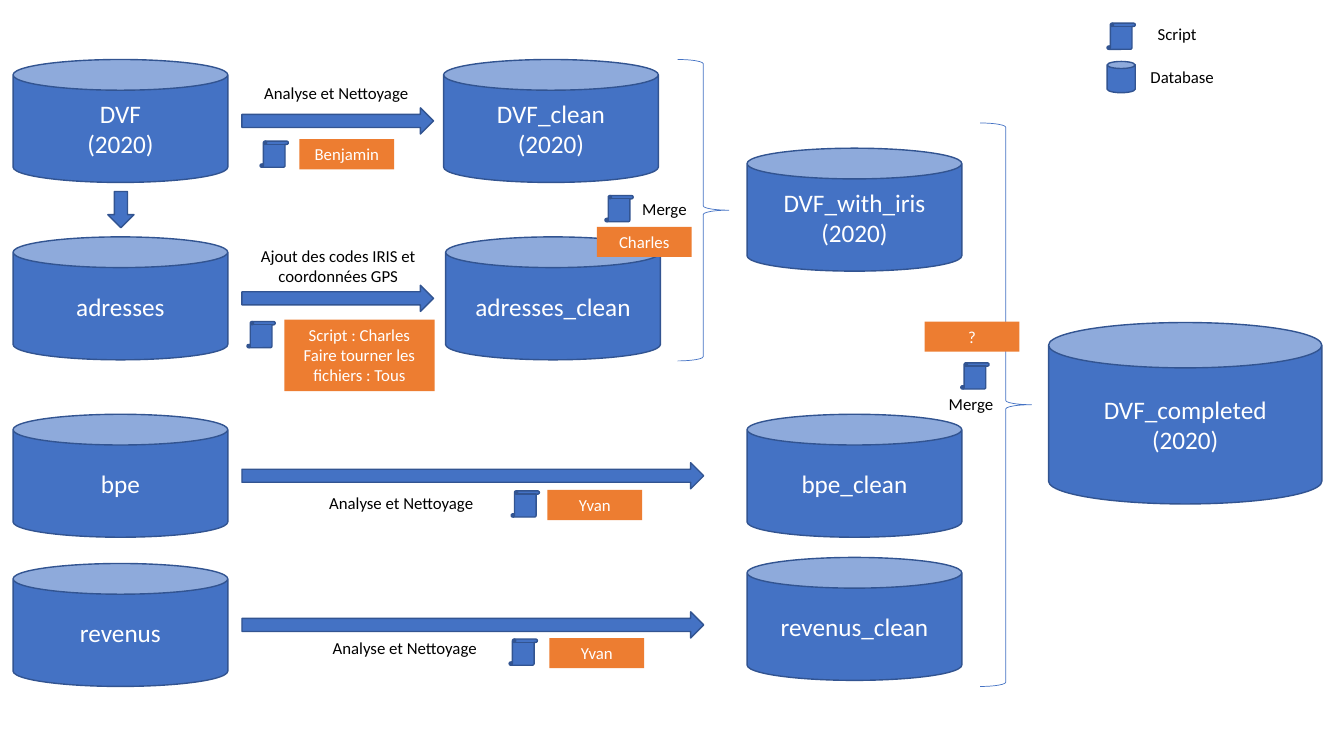
from pptx import Presentation
from pptx import util as u
from pptx.dml.color import RGBColor
from pptx.enum import shapes, text

BLUE = RGBColor(0x44, 0x72, 0xC4)
NAVY = RGBColor(0x32, 0x54, 0x91)
ORANGE = RGBColor(0xED, 0x7D, 0x31)
WHITE = RGBColor(0xFF, 0xFF, 0xFF)
BLACK = RGBColor(0x00, 0x00, 0x00)
FONT = "Calibri"
SHAPE = shapes.MSO_SHAPE

CAN_W, CAN_H = 2.13, 1.22
ARROW_THICKNESS = 0.26
SOURCE_X, CLEAN_X, RESULT_X = 0.13, 4.4, 7.41
DVF_Y, ADDRESS_Y, BPE_Y, INCOME_Y = 0.59, 2.35, 4.11, 5.59


class Diagram:
    """Holds the current slide and draws its elements in one style."""

    def __init__(self, slide):
        """Keep the slide to draw on."""
        self.slide = slide

    def _write(self, frame, content, size, color):
        """Fill a text frame with centred paragraphs, one per line."""
        frame.word_wrap = True
        frame.text = content
        for paragraph in frame.paragraphs:
            paragraph.alignment = text.PP_ALIGN.CENTER
            paragraph.font.name = FONT
            paragraph.font.size = u.Pt(size)
            paragraph.font.color.rgb = color

    def _shape(self, kind, x, y, w, h, fill=BLUE, line=NAVY, weight=1):
        """Add a preset shape; None leaves the fill or the line out."""
        shape = self.slide.shapes.add_shape(kind, *map(u.Inches, (x, y, w, h)))
        shape.shadow.inherit = False
        if fill is None:
            shape.fill.background()
        else:
            shape.fill.solid()
            shape.fill.fore_color.rgb = fill
        if line is None:
            shape.line.fill.background()
        else:
            shape.line.color.rgb = line
            shape.line.width = u.Pt(weight)
        return shape

    def database(self, x, y, name="", w=CAN_W, h=CAN_H):
        """Add a database cylinder with its name."""
        can = self._shape(SHAPE.CAN, x, y, w, h)
        if name:
            can.text_frame.vertical_anchor = text.MSO_ANCHOR.MIDDLE
            self._write(can.text_frame, name, 18, WHITE)

    def flow_right(self, row_y, length):
        """Add an arrow to the right, centred on a row of databases."""
        y = row_y + (CAN_H - ARROW_THICKNESS) / 2
        self._shape(SHAPE.RIGHT_ARROW, 2.4, y, length, ARROW_THICKNESS)

    def flow_down(self, x, y, length):
        """Add an arrow pointing down."""
        self._shape(SHAPE.DOWN_ARROW, x, y, ARROW_THICKNESS, length)

    def brace(self, x, y, h):
        """Add a brace that joins the databases to its left."""
        self._shape(SHAPE.RIGHT_BRACE, x, y, 0.51, h, None, BLUE, 0.5)

    def script(self, x, y):
        """Add a small scroll that stands for a script."""
        self._shape(SHAPE.VERTICAL_SCROLL, x, y, 0.28, 0.26)

    def owner(self, x, y, who, w=0.94, h=0.3):
        """Add an orange tag naming who is in charge."""
        tag = self._shape(SHAPE.RECTANGLE, x, y, w, h, ORANGE, None)
        tag.text_frame.vertical_anchor = text.MSO_ANCHOR.TOP
        self._write(tag.text_frame, who, 12, WHITE)

    def caption(self, x, y, w, words, h=0.3):
        """Add a black caption."""
        box = self.slide.shapes.add_textbox(*map(u.Inches, (x, y, w, h)))
        self._write(box.text_frame, words, 12, BLACK)


def main():
    """Build the data pipeline slide."""
    deck = Presentation()
    deck.slide_width, deck.slide_height = u.Inches(13.33), u.Inches(7.5)
    diagram = Diagram(deck.slides.add_slide(deck.slide_layouts[6]))

    for x, y, name in [
        (SOURCE_X, DVF_Y, "DVF\n(2020)"),
        (SOURCE_X, ADDRESS_Y, "adresses"),
        (SOURCE_X, BPE_Y, "bpe"),
        (SOURCE_X, INCOME_Y, "revenus"),
        (CLEAN_X, DVF_Y, "DVF_clean\n(2020)"),
        (CLEAN_X + 0.02, ADDRESS_Y, "adresses_clean"),
        (RESULT_X, 1.47, "DVF_with_iris\n(2020)"),
        (RESULT_X, BPE_Y, "bpe_clean"),
        (RESULT_X, 5.53, "revenus_clean"),
    ]:
        diagram.database(x, y, name)
    diagram.database(10.4, 3.2, "DVF_completed\n(2020)", 2.71, 1.8)

    diagram.flow_down(1.07, 1.9, 0.36)
    for row_y, length in [(DVF_Y, 1.9), (ADDRESS_Y, 1.9),
                          (BPE_Y, 4.58), (INCOME_Y, 4.58)]:
        diagram.flow_right(row_y, length)

    diagram.brace(6.72, DVF_Y, 2.99)
    diagram.brace(9.72, 1.22, 5.59)

    for x, y, w, words in [
        (2.48, 0.77, 1.71, "Analyse et Nettoyage"),
        (3.1, 4.84, 1.76, "Analyse et Nettoyage"),
        (2.98, 6.28, 2.07, "Analyse et Nettoyage"),
        (6.13, 1.92, 0.92, "Merge"),
        (9.17, 3.86, 0.92, "Merge"),
        (10.98, 0.19, 1.39, "Script"),
        (11.03, 0.61, 1.39, "Database"),
    ]:
        diagram.caption(x, y, w, words)
    diagram.caption(2.48, 2.39, 1.75,
                    "Ajout des codes IRIS et coordonnées GPS", 0.5)

    for x, y in [(2.58, 1.4), (2.45, 3.19), (5.07, 4.87), (5.05, 6.34),
                 (9.53, 3.6), (6, 1.94), (10.98, 0.23)]:
        diagram.script(x, y)
    diagram.database(10.98, 0.61, w=0.28, h=0.31)

    diagram.owner(2.82, 3.17,
                  "Script : Charles\nFaire tourner les fichiers : Tous",
                  1.49, 0.71)
    for x, y, who in [
        (2.97, 1.38, "Benjamin"),
        (5.43, 4.86, "Yvan"),
        (5.45, 6.33, "Yvan"),
        (5.92, 2.25, "Charles"),
        (9.17, 3.19, "?"),
    ]:
        diagram.owner(x, y, who)

    deck.save("out.pptx")


main()
